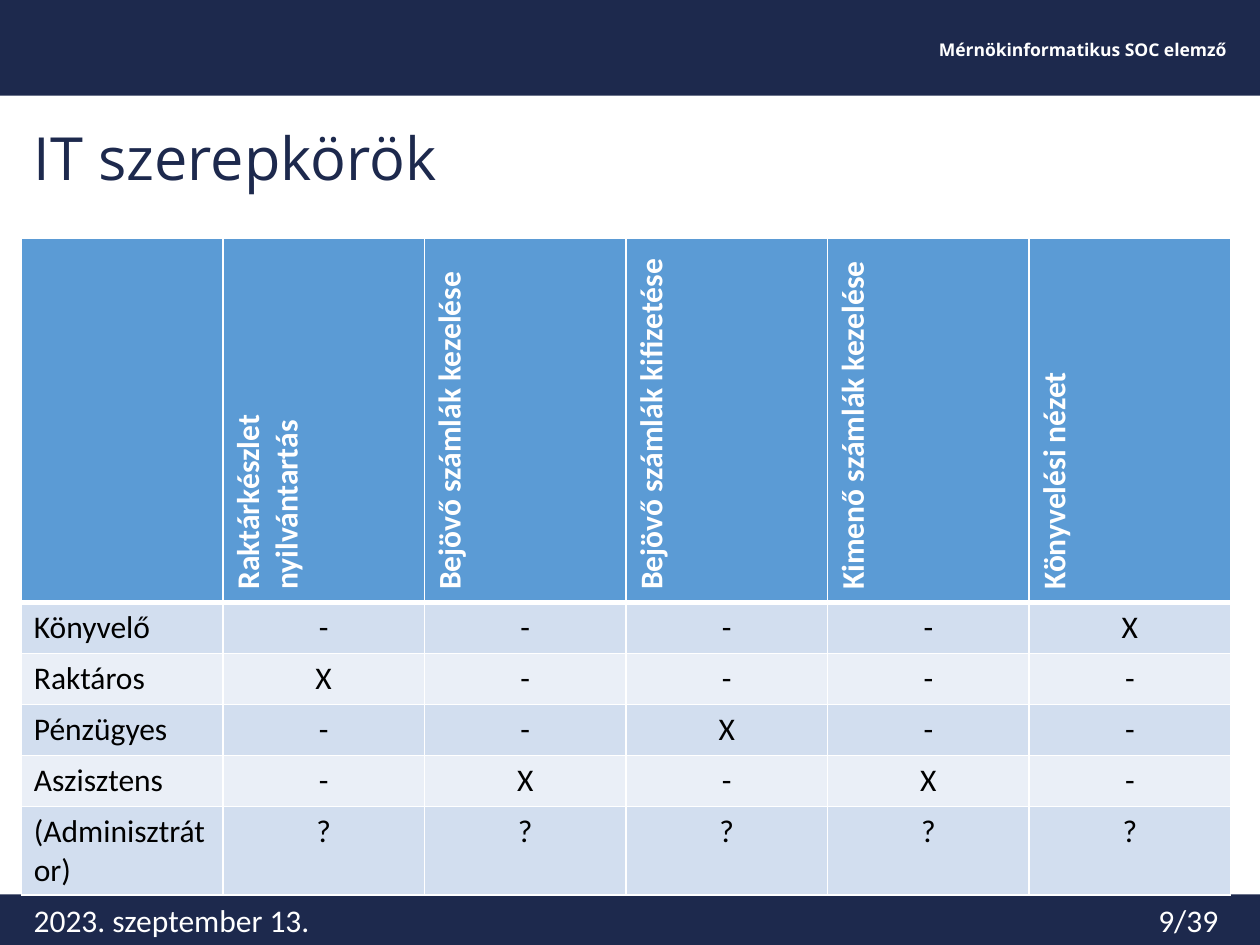
from lxml.etree import SubElement
from pptx import Presentation
from pptx.dml.color import RGBColor
from pptx.enum.shapes import MSO_SHAPE
from pptx.enum.text import MSO_ANCHOR, PP_ALIGN
from pptx.oxml.ns import qn
from pptx.util import Cm, Pt

NAVY, WHITE, BLACK = "1D294D", "FFFFFF", "000000"
HEADER_FILL = "5B9BD5"
BAND_FILLS = ("D2DEEF", "EAEFF7")
LEFT, RIGHT = PP_ALIGN.LEFT, PP_ALIGN.RIGHT
TOP, MIDDLE, BOTTOM = MSO_ANCHOR.TOP, MSO_ANCHOR.MIDDLE, MSO_ANCHOR.BOTTOM

BARS = [(0, 1.93), (18.03, 1.02)]
HEADING = ("Mérnökinformatikus SOC elemző", (13.03, 0.28, 11.94, 1.42),
           "Open Sans", 10, WHITE, True, RIGHT, MIDDLE)
TITLE = ("IT szerepkörök", (0.43, 2.34, 24.38, 1.68),
         "Open Sans", 34, NAVY, False, LEFT, BOTTOM)
DATE = ("2023. szeptember 13.", (0.43, 18.03, 12.14, 1.02),
        "Calibri", 18, WHITE, False, LEFT, TOP)
PAGE = ("9/39", (19.1, 18.03, 5.71, 1.02),
        "Calibri", 18, WHITE, False, RIGHT, TOP)

ROLES = [
    ("", "Raktárkészlet nyilvántartás", "Bejövő számlák kezelése",
     "Bejövő számlák kifizetése", "Kimenő számlák kezelése", "Könyvelési nézet"),
    ("Könyvelő", "-", "-", "-", "-", "X"),
    ("Raktáros", "X", "-", "-", "-", "-"),
    ("Pénzügyes", "-", "-", "X", "-", "-"),
    ("Aszisztens", "-", "X", "-", "X", "-"),
    ("(Adminisztrátor)", "?", "?", "?", "?", "?"),
]
TABLE_BOX = (0.43, 4.8, 24.38, 11.35)
HEADER_HEIGHT, ROW_HEIGHT = 5.44, 1.03


def rgb(color):
    return RGBColor.from_string(color)


def style(p, font, size, color, bold, align):
    p.alignment = align
    p.font.name = font
    p.font.size = Pt(size)
    p.font.bold = bold
    p.font.color.rgb = rgb(color)


def add_bar(slide, top, height):
    sp = slide.shapes.add_shape(MSO_SHAPE.RECTANGLE, 0, Cm(top), Cm(25.4), Cm(height))
    sp.shadow.inherit = False
    sp.fill.solid()
    sp.fill.fore_color.rgb = rgb(NAVY)
    sp.line.fill.background()


def add_text(slide, text, box, font, size, color, bold, align, anchor):
    tf = slide.shapes.add_textbox(*map(Cm, box)).text_frame
    tf.word_wrap = True
    tf.vertical_anchor = anchor
    p = tf.paragraphs[0]
    p.text = text
    style(p, font, size, color, bold, align)
    return p


def add_border(cell, side, width):
    ln = SubElement(cell._tc.get_or_add_tcPr(), qn(f"a:ln{side}"), w=str(Pt(width)))
    SubElement(SubElement(ln, qn("a:solidFill")), qn("a:srgbClr"), val=WHITE)


def fill_cell(cell, text, row, col):
    header = row == 0
    widths = {"L": 1, "R": 1, "T": 3 if row == 1 else 1, "B": 3 if header else 1}
    for side, width in widths.items():
        add_border(cell, side, width)
    cell.fill.solid()
    cell.fill.fore_color.rgb = rgb(HEADER_FILL if header else BAND_FILLS[(row - 1) % 2])
    if header and col:
        cell.vertical_anchor = MIDDLE
        cell._tc.tcPr.set("vert", "vert270")
    p = cell.text_frame.paragraphs[0]
    p.text = text
    align = LEFT if header or col == 0 else PP_ALIGN.CENTER
    style(p, "Calibri", 18, WHITE if header else BLACK, header, align)


def add_roles(slide):
    frame = slide.shapes.add_table(len(ROLES), len(ROLES[0]), *map(Cm, TABLE_BOX))
    table = frame.table
    for row, values in enumerate(ROLES):
        table.rows[row].height = Cm(ROW_HEIGHT if row else HEADER_HEIGHT)
        for col, text in enumerate(values):
            fill_cell(table.cell(row, col), text, row, col)
    frame.height = Cm(TABLE_BOX[3])


def main():
    prs = Presentation()
    prs.slide_width, prs.slide_height = Cm(25.4), Cm(19.05)
    slide = prs.slides.add_slide(prs.slide_layouts[6])
    for top, height in BARS:
        add_bar(slide, top, height)
    add_text(slide, *HEADING)
    add_text(slide, *DATE)
    add_roles(slide)
    add_text(slide, *TITLE).line_spacing = 0.9
    add_text(slide, *PAGE)
    prs.save("out.pptx")


if __name__ == "__main__":
    main()
